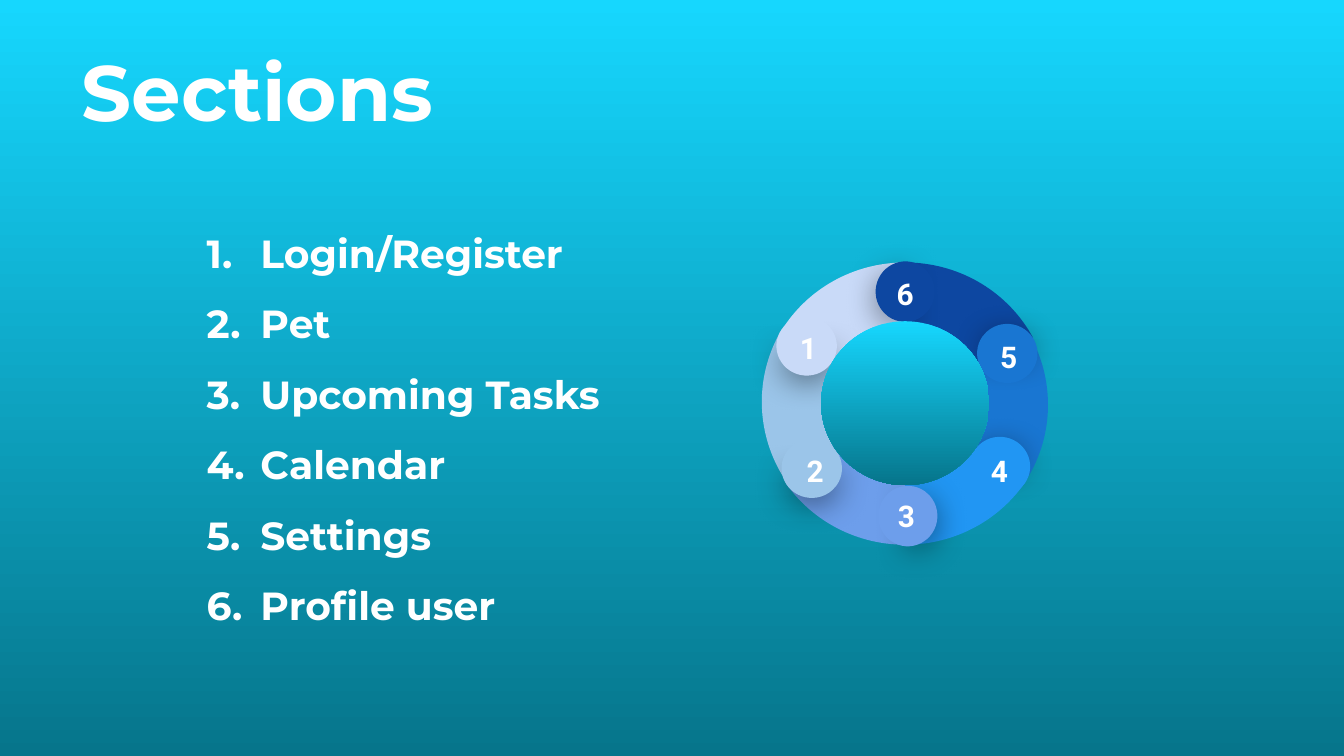
from dataclasses import dataclass

from lxml import etree
from pptx import Presentation
from pptx.dml.color import RGBColor
from pptx.enum.shapes import MSO_SHAPE
from pptx.enum.text import PP_ALIGN
from pptx.oxml.ns import qn
from pptx.shapes.autoshape import Shape
from pptx.shapes.shapetree import GroupShapes, SlideShapes
from pptx.slide import Slide
from pptx.text.text import _Paragraph
from pptx.util import Inches, Pt

PIE, CHORD, OVAL = MSO_SHAPE.PIE, MSO_SHAPE.CHORD, MSO_SHAPE.OVAL
LEFT, CENTER = PP_ALIGN.LEFT, PP_ALIGN.CENTER
COLUMNS, ROWS = 100, 56.25
SLIDE_WIDTH, SLIDE_HEIGHT = Inches(10), Inches(5.625)
RING_X, RING_Y = 67.35, 30.03


@dataclass(frozen=True)
class Theme:
    white: str = "FFFFFF"
    shadow: str = "000000"
    gradient: tuple[str, str] = ("16D7FE", "06758B")
    heading_font: str = "Montserrat"
    number_font: str = "Roboto"
    title_size: int = 42
    list_size: int = 21
    number_size: int = 16


@dataclass(frozen=True)
class Box:
    column: float
    row: float
    columns: float
    rows: float

    def lengths(self) -> tuple[int, int, int, int]:
        return (
            round(SLIDE_WIDTH * self.column / COLUMNS),
            round(SLIDE_HEIGHT * self.row / ROWS),
            round(SLIDE_WIDTH * self.columns / COLUMNS),
            round(SLIDE_HEIGHT * self.rows / ROWS),
        )


@dataclass(frozen=True)
class Arc:
    rotation: float
    start: float
    end: float
    columns: float
    rows: float


@dataclass(frozen=True)
class Section:
    name: str
    colour: str
    arc: Arc
    cap_x: float
    cap_y: float
    cap_turn: float
    number_column: float
    number_row: float


THEME = Theme()
SECTIONS = {
    1: Section("Login/Register", "C9DAF8", Arc(0, 126.34, 162.01, 21.5, 21), 60.02, 25.75, 0, 58.2, 23.5),
    2: Section("Pet", "9BC5E9", Arc(299.9, 125.18, 162.01, 21.1, 21.4), 60.4, 34.85, 0, 58.7, 32.7),
    3: Section("Upcoming Tasks", "6D9EEB", Arc(270, 107.96, 141.49, 21, 21.5), 67.55, 38.4, 270, 65.5, 36),
    4: Section("Calendar", "2196F3", Arc(180, 127.53, 162.08, 21.5, 21), 74.4, 34.7, 180, 72.4, 32.7),
    5: Section("Settings", "1976D2", Arc(122.9, 127.53, 162.08, 21.1, 21.3), 74.95, 26.3, 180, 73.1, 24.2),
    6: Section("Profile user", "0D47A1", Arc(90, 107.96, 145.65, 21, 21.5), 67.35, 21.7, 90, 65.4, 19.5),
}


def centred(x: float, y: float, columns: float, rows: float) -> Box:
    return Box(x - columns / 2, y - rows / 2, columns, rows)


def add_solid(shapes: GroupShapes, kind: MSO_SHAPE, box: Box, colour: str,
              rotation: float, angles: tuple[float, float]) -> Shape:
    shape = shapes.add_shape(kind, *box.lengths())
    shape.shadow.inherit = False
    shape.rotation = rotation % 360
    shape.adjustments[0], shape.adjustments[1] = angles
    shape.fill.solid()
    shape.fill.fore_color.rgb = RGBColor.from_string(colour)
    shape.line.fill.background()
    return shape


def add_shadow(shape: Shape) -> None:
    effects = shape._element.spPr.find(qn("a:effectLst"))
    shadow = etree.SubElement(effects, qn("a:outerShdw"), blurRad=str(Pt(18)),
                              dist=str(Pt(4)), dir="5400000", rotWithShape="0")
    colour = etree.SubElement(shadow, qn("a:srgbClr"), val=THEME.shadow)
    etree.SubElement(colour, qn("a:alpha"), val="55000")


def add_sector(shapes: GroupShapes, section: Section) -> None:
    arc = section.arc
    box = centred(RING_X, RING_Y, arc.columns, arc.rows)
    add_solid(shapes, PIE, box, section.colour, arc.rotation, (arc.start, arc.end))


def add_cap(shapes: GroupShapes, section: Section) -> None:
    x, y, turn = section.cap_x, section.cap_y, section.cap_turn
    angles = (196.87, 77.71) if turn == 180 else (189.54, 83.81)
    half = add_solid(shapes, PIE, centred(x, y, 4, 4), section.colour, turn + 39.5, angles)
    add_shadow(half)
    add_solid(shapes, CHORD, centred(x, y, 4.5, 4.4), section.colour, turn + 4.1, (25.01, 18.12))


def set_gradient(target) -> None:
    target.fill.gradient()
    target.fill.gradient_angle = 270
    for stop, colour in zip(target.fill.gradient_stops, THEME.gradient):
        stop.color.rgb = RGBColor.from_string(colour)


def add_text(shapes: SlideShapes | GroupShapes, box: Box, text: str, font: str, size: int,
             alignment: PP_ALIGN = LEFT) -> Shape:
    text_box = shapes.add_textbox(*box.lengths())
    frame = text_box.text_frame
    frame.word_wrap = True
    frame.margin_left = frame.margin_right = Inches(0.1)
    frame.margin_top = frame.margin_bottom = Inches(0.1)
    frame.text = text
    for paragraph in frame.paragraphs:
        paragraph.alignment = alignment
        for run in paragraph.runs:
            run.font.name = font
            run.font.size = Pt(size)
            run.font.bold = True
            run.font.color.rgb = RGBColor.from_string(THEME.white)
    return text_box


def number_paragraph(paragraph: _Paragraph) -> None:
    properties = paragraph._p.get_or_add_pPr()
    properties.set("marL", str(Inches(0.5)))
    properties.set("indent", str(Inches(-0.4)))
    colour = etree.SubElement(properties, qn("a:buClr"))
    etree.SubElement(colour, qn("a:srgbClr"), val=THEME.white)
    etree.SubElement(properties, qn("a:buFont"), typeface=THEME.heading_font)
    etree.SubElement(properties, qn("a:buAutoNum"), type="arabicPeriod")
    paragraph.line_spacing = 1.5


def add_section_list(slide: Slide) -> None:
    names = "\n".join(section.name for section in SECTIONS.values())
    text_box = add_text(slide.shapes, Box(13.4, 14.3, 33, 25.9), names, THEME.heading_font, THEME.list_size)
    for paragraph in text_box.text_frame.paragraphs:
        number_paragraph(paragraph)


def add_ring(slide: Slide) -> None:
    shapes = slide.shapes.add_group_shape().shapes
    layers = (
        (add_sector, (6, 3, 2, 5)),
        (add_cap, (5, 4)),
        (add_sector, (4, 1)),
        (add_cap, (3, 6, 1, 2)),
    )
    for draw, numbers in layers:
        for number in numbers:
            draw(shapes, SECTIONS[number])
    for number, section in SECTIONS.items():
        box = Box(section.number_column, section.number_row, 3.9, 3.2)
        add_text(shapes, box, str(number), THEME.number_font, THEME.number_size, CENTER)
    hub = shapes.add_shape(OVAL, *centred(RING_X, 30, 12.5, 12.2).lengths())
    hub.shadow.inherit = False
    hub.line.fill.background()
    set_gradient(hub)


def main() -> None:
    presentation = Presentation()
    presentation.slide_width, presentation.slide_height = SLIDE_WIDTH, SLIDE_HEIGHT
    slide = presentation.slides.add_slide(presentation.slide_layouts[6])
    set_gradient(slide.background)
    add_text(slide.shapes, Box(5.1, 2.2, 77, 9.1), "Sections", THEME.heading_font, THEME.title_size)
    add_section_list(slide)
    add_ring(slide)
    presentation.save("out.pptx")


if __name__ == "__main__":
    main()
